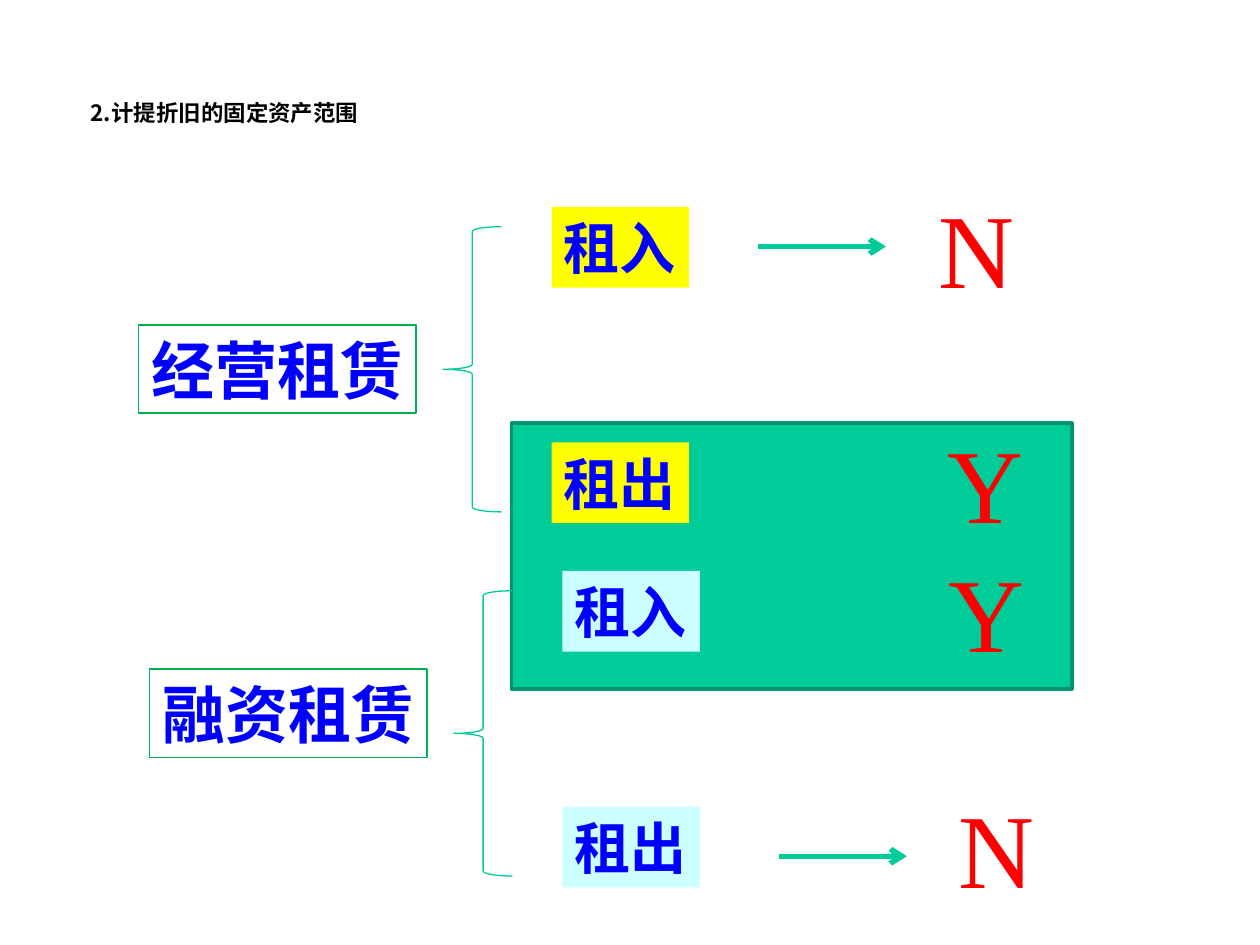
from pptx import Presentation
from pptx.dml.color import RGBColor
from pptx.enum.shapes import MSO_CONNECTOR as Connector, MSO_SHAPE as Shape
from pptx.enum.text import MSO_ANCHOR as Anchor, PP_ALIGN as Align
from pptx.oxml.ns import qn
from pptx.util import Cm, Pt
from lxml import etree

SANS, SERIF = "Noto Sans CJK SC", "Times New Roman"
GREEN, BLUE, RED = "00CC99", "0000FF", "FF0000"


def color(value):
    return RGBColor.from_string(value)


def write(shape, text, size, font=SANS, fill=BLUE, bold=True, anchor=Anchor.MIDDLE,
          wrap=False, spacing=None):
    frame = shape.text_frame
    frame.word_wrap = wrap
    frame.vertical_anchor = anchor
    paragraph = frame.paragraphs[0]
    paragraph.alignment = Align.LEFT
    paragraph.line_spacing = spacing
    run = paragraph.add_run()
    run.text = text
    run.font.size, run.font.bold, run.font.name = Pt(size), bold, font
    run.font.color.rgb = color(fill)
    east_asian = etree.SubElement(run._r.get_or_add_rPr(), qn("a:ea"))
    east_asian.set("typeface", SANS)
    return frame


def add_block(slide, left, top, width, height, kind=Shape.RECTANGLE,
              fill=None, line=None, weight=0.75):
    shape = slide.shapes.add_shape(kind, Cm(left), Cm(top), Cm(width), Cm(height))
    shape.shadow.inherit = False
    if fill:
        shape.fill.solid()
        shape.fill.fore_color.rgb = color(fill)
    else:
        shape.fill.background()
    if line:
        shape.line.color.rgb = color(line)
        shape.line.width = Pt(weight)
    else:
        shape.line.fill.background()
    return shape


def add_arrow(slide, left, top, length):
    arrow = slide.shapes.add_connector(
        Connector.STRAIGHT, Cm(left), Cm(top), Cm(left + length), Cm(top))
    arrow.line.color.rgb = color(GREEN)
    arrow.line.width = Pt(3)
    etree.SubElement(arrow.line._get_or_add_ln(), qn("a:tailEnd")).set("type", "arrow")
    etree.SubElement(arrow._element.spPr, qn("a:effectLst"))


def add_title(slide, left, top, width, height):
    box = slide.shapes.add_textbox(Cm(left), Cm(top), Cm(width), Cm(height))
    frame = write(box, "2.计提折旧的固定资产范围", 12.8, fill="000000",
                  anchor=Anchor.TOP, wrap=True, spacing=0.8)
    frame.margin_left = Cm(0.64)


def add_lease(slide, left, top, name, name_offset, rows, fill):
    """Lease type, brace and its two cases; left and top are those of the brace."""
    # Lease type
    label = add_block(slide, left - 6.13, top + name_offset, 5.59, 1.78, line="00B050")
    write(label, name, 36, font=SERIF)

    add_block(slide, left, top, 1.18, 5.75, Shape.LEFT_BRACE, line=GREEN)

    # Cases with their answers
    for index, (case, answer) in enumerate(rows):
        row_top = top + index * 4.75
        shift = index * 0.2
        tag = add_block(slide, left + 2.19, row_top - 0.4, 2.77, 1.63, fill=fill)
        write(tag, case, 32)
        if answer == "N":
            add_arrow(slide, left + 6.35 + shift, row_top + 0.4 + shift, 2.58)
        box = slide.shapes.add_textbox(
            Cm(left + 9.73 + shift), Cm(row_top - 1), Cm(2.03), Cm(2.79))
        write(box, answer, 60, font=SERIF, fill=RED, bold=False, anchor=Anchor.TOP)


def main():
    presentation = Presentation()
    presentation.slide_width, presentation.slide_height = Cm(25.4), Cm(19.05)
    slide = presentation.slides.add_slide(presentation.slide_layouts[6])

    # Highlight behind the depreciated cases
    add_block(slide, 10.31, 8.53, 11.3, 5.36, fill=GREEN, line="00956F", weight=2)
    add_title(slide, 1.19, 1.98, 23.19, 2.41)
    add_lease(slide, 8.93, 4.57, "经营租赁", 1.98,
              [("租入", "N"), ("租出", "Y")], "FFFF00")
    add_lease(slide, 9.15, 11.91, "融资租赁", 1.58,
              [("租入", "Y"), ("租出", "N")], "CCFFFF")

    presentation.save("out.pptx")


if __name__ == "__main__":
    main()
